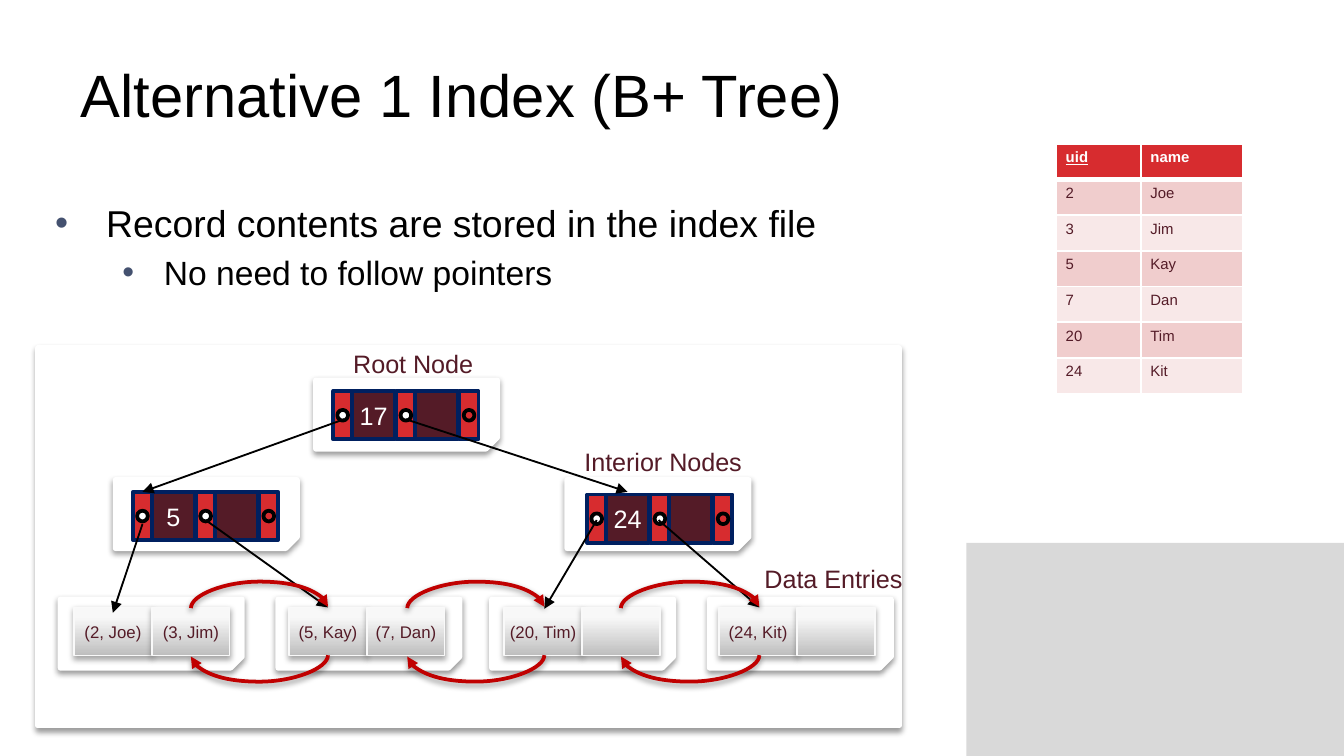
import pptx
import pptx.util
import pptx.dml.color
import pptx.enum.shapes
import pptx.enum.text
import pptx.oxml
import pptx.oxml.ns
from pptx.util import Inches, Pt

SHAPE = pptx.enum.shapes.MSO_SHAPE
CONNECTOR = pptx.enum.shapes.MSO_CONNECTOR
ALIGN = pptx.enum.text.PP_ALIGN
ANCHOR = pptx.enum.text.MSO_ANCHOR
COLORS = {
    "white": "FFFFFF", "black": "000000", "block": "D9D9D9", "bullet": "44516F",
    "maroon": "541B27", "red": "D72C2F", "navy": "002060", "link": "C00000",
    "leaf_dark": "BEBEBE", "leaf_light": "F8F8F8", "leaf_edge": "F9F9F9",
    "band_dark": "F0CDCD", "band_light": "F8E8E8",
}
INDEX_NODES = [
    ("17", 2.48, 2.91, 2.35, 2.83),
    ("5", 0.99, 3.66, 0.86, 3.57),
    ("24", 4.37, 3.68, 4.22, 3.57),
]
LEAVES = [
    (("(2, Joe)", "(3, Jim)"), 0.55, 0.45),
    (("(5, Kay)", "(7, Dan)"), 2.15, 2.07),
    (("(20, Tim)", ""), 3.75, 3.66),
    (("(24, Kit)", ""), 5.35, 5.28),
]
POINTERS = [
    (1.06, 3.9, 0.84, 4.56), (1.53, 3.87, 2.44, 4.52),
    (4.44, 3.87, 4.05, 4.53), (4.9, 3.87, 5.65, 4.52),
    (2.56, 3.12, 1.06, 3.66), (3.02, 3.12, 4.67, 3.66),
]
SIBLINGS = [(1.42, 2.44), (3.03, 4.05), (4.62, 5.65)]
LABELS = [
    ("Root Node", 2.53, 2.54, 1.28),
    ("Data Entries", 5.59, 4.14, 1.3),
    ("Interior Nodes", 4.25, 3.27, 1.44),
]
RECORDS = [("uid", "name"), ("2", "Joe"), ("3", "Jim"), ("5", "Kay"),
           ("7", "Dan"), ("20", "Tim"), ("24", "Kit")]


def rgb(color):
    return pptx.dml.color.RGBColor.from_string(COLORS[color])


def xml(markup):
    tag, rest = markup.split(" ", 1)
    return pptx.oxml.parse_xml(f"{tag} {pptx.oxml.ns.nsdecls('a')} {rest}")


def style(paragraph, size, color, bold=False):
    font = paragraph.font
    font.name, font.size, font.bold = "Arial", Pt(size), bold
    font.color.rgb = rgb(color)


def add_shadow(element, alpha=38):
    effects = element.spPr.find(pptx.oxml.ns.qn("a:effectLst"))
    effects.append(xml(
        f'<a:outerShdw blurRad="{Pt(3.1)}" dist="{Pt(1.6)}" dir="5400000" rotWithShape="0">'
        f'<a:srgbClr val="000000"><a:alpha val="{alpha * 1000}"/></a:srgbClr></a:outerShdw>'))


def add_box(slide, kind, left, top, width, height, fill=None, line=None, weight=2):
    box = slide.shapes.add_shape(kind, Inches(left), Inches(top), Inches(width), Inches(height))
    box.shadow.inherit = False
    if fill:
        box.fill.solid()
        box.fill.fore_color.rgb = rgb(fill)
    else:
        box.fill.background()
    if line:
        box.line.color.rgb = rgb(line)
        box.line.width = Pt(weight)
    else:
        box.line.fill.background()
    return box


def add_card(slide, kind, left, top, width, height):
    card = add_box(slide, kind, left, top, width, height, "white", "white", 3)
    add_shadow(card.element)


def write_centered(box, text, size, color):
    frame = box.text_frame
    frame.margin_left = frame.margin_right = 0
    frame.margin_top = frame.margin_bottom = Inches(0.04)
    frame.vertical_anchor = ANCHOR.MIDDLE
    frame.text = text
    frame.paragraphs[0].alignment = ALIGN.CENTER
    style(frame.paragraphs[0], size, color)


def add_index_node(slide, key, left, top):
    for slot, value in enumerate((key, "")):
        cell = add_box(slide, SHAPE.RECTANGLE, left + 0.14 + slot * 0.47, top,
                       0.32, 0.36, "maroon", "navy")
        if value:
            write_centered(cell, value, 13.5, "white")
    for slot, dot_fill in enumerate(("white", "white", None)):
        x = left + slot * 0.47
        add_box(slide, SHAPE.RECTANGLE, x, top, 0.14, 0.36, "red", "navy")
        add_box(slide, SHAPE.OVAL, x + 0.03, top + 0.14, 0.08, 0.08, dot_fill, "black")


def add_leaf(slide, entries, left):
    for slot, entry in enumerate(entries):
        cell = add_box(slide, SHAPE.RECTANGLE, left + slot * 0.58, 4.52, 0.58, 0.36,
                       "white", "leaf_edge", 0.75)
        cell.fill.gradient()
        cell.fill.gradient_angle = 90
        for stop, color, position in zip(cell.fill.gradient_stops,
                                         ("leaf_dark", "leaf_light"), (0, 0.8)):
            stop.color.rgb = rgb(color)
            stop.position = position
        add_shadow(cell.element, 35)
        if entry:
            write_centered(cell, entry, 9, "maroon")


def add_arrow(slide, kind, ends, color, weight):
    arrow = slide.shapes.add_connector(kind, *map(Inches, ends))
    arrow.line.color.rgb = rgb(color)
    arrow.line.width = Pt(weight)
    properties = arrow.element.spPr
    properties.find(pptx.oxml.ns.qn("a:ln")).append(xml('<a:tailEnd type="triangle"/>'))
    properties.append(xml('<a:effectLst />'))
    return arrow


def add_sibling_link(slide, start, end, y):
    middle, half = (start + end) / 2, (start - end) / 2
    thin = 0.005 if half > 0 else -0.005
    link = add_arrow(slide, CONNECTOR.CURVE,
                     (middle - thin, y - half, middle + thin, y + half), "link", 2)
    link.element.spPr.find(pptx.oxml.ns.qn("a:xfrm")).set("rot", "5400000")
    guides = link.element.spPr.find(pptx.oxml.ns.qn("a:prstGeom")).get_or_add_avLst()
    guides.append(xml('<a:gd name="adj1" fmla="val 2000000"/>'))
    add_shadow(link.element)


def add_label(slide, text, left, top, width):
    label = slide.shapes.add_textbox(Inches(left), Inches(top), Inches(width), Inches(0.33))
    label.text_frame.word_wrap = True
    label.text_frame.text = text
    style(label.text_frame.paragraphs[0], 13.5, "maroon")


def place(placeholder, left, top, width, height):
    placeholder.left, placeholder.top = Inches(left), Inches(top)
    placeholder.width, placeholder.height = Inches(width), Inches(height)
    placeholder.text_frame.auto_size = pptx.enum.text.MSO_AUTO_SIZE.NONE
    return placeholder.text_frame


def write_heading(slide):
    heading = place(slide.shapes.title, 0.5, 0.23, 9, 0.94)
    heading.vertical_anchor = ANCHOR.MIDDLE
    heading.text = "Alternative 1 Index (B+ Tree)"
    heading.paragraphs[0].alignment = ALIGN.LEFT
    style(heading.paragraphs[0], 32, "black")


def write_points(slide):
    points = place(slide.placeholders[1], 0.31, 1.44, 9, 3.71)
    points.text = "Record contents are stored in the index file\nNo need to follow pointers"
    for level, (point, size, margin, hang) in enumerate(
            zip(points.paragraphs, (20, 18), (0.38, 0.81), (0.38, 0.31))):
        point.level = level
        point.space_before = Pt(size * 0.2)
        properties = point._p.get_or_add_pPr()
        properties.set("marL", str(Inches(margin)))
        properties.set("indent", str(-Inches(hang)))
        properties.append(xml(f'<a:buClr ><a:srgbClr val="{COLORS["bullet"]}"/></a:buClr>'))
        properties.append(xml('<a:buFont typeface="Arial"/>'))
        properties.append(xml('<a:buChar char="•"/>'))
        style(point, size, "black")


def add_records(slide):
    table = slide.shapes.add_table(len(RECORDS), 2, Inches(7.86), Inches(1.07),
                                   Inches(1.39), Inches(1.86)).table
    table.columns[0].width, table.columns[1].width = Inches(0.63), Inches(0.76)
    for row, record in enumerate(RECORDS):
        table.rows[row].height = Inches(1.86 / len(RECORDS))
        for column, value in enumerate(record):
            cell = table.cell(row, column)
            cell.margin_left = cell.margin_right = Inches(0.07)
            cell.margin_top = cell.margin_bottom = Inches(0.04)
            cell.text = value
            entry = cell.text_frame.paragraphs[0]
            style(entry, 8, "maroon" if row else "white", row == 0)
            if value == "uid":
                entry.font.underline = True
            cell.fill.solid()
            cell.fill.fore_color.rgb = rgb(
                "red" if row == 0 else "band_dark" if row % 2 else "band_light")
            weights = {"L": 1, "R": 1, "T": 3 if row == 1 else 1, "B": 1 if row else 3}
            for order, (side, weight) in enumerate(weights.items()):
                cell._tc.get_or_add_tcPr().insert(order, xml(
                    f'<a:ln{side} w="{Pt(weight)}"><a:solidFill>'
                    f'<a:srgbClr val="{COLORS["white"]}"/></a:solidFill></a:ln{side}>'))


def main():
    deck = pptx.Presentation()
    deck.slide_width = Inches(10)
    deck.slide_height = deck.slide_width * 9 // 16
    slide = deck.slides.add_slide(deck.slide_layouts[1])
    add_box(slide, SHAPE.RECTANGLE, 7.19, 4.04, 2.81, 1.59, "block")
    write_heading(slide)
    write_points(slide)
    add_card(slide, SHAPE.RECTANGLE, 0.28, 2.59, 6.41, 2.81)
    for key, left, top, card_left, card_top in INDEX_NODES:
        add_card(slide, SHAPE.FOLDED_CORNER, card_left, card_top, 1.35, 0.51)
        add_index_node(slide, key, left, top)
    for entries, left, card_left in LEAVES:
        add_card(slide, SHAPE.FOLDED_CORNER, card_left, 4.46, 1.35, 0.51)
        add_leaf(slide, entries, left)
    for ends in POINTERS:
        add_arrow(slide, CONNECTOR.STRAIGHT, ends, "black", 1)
    for left, right in SIBLINGS:
        add_sibling_link(slide, left, right, 4.52)
        add_sibling_link(slide, right, left, 4.88)
    for label in LABELS:
        add_label(slide, *label)
    add_records(slide)
    deck.save("out.pptx")


main()
